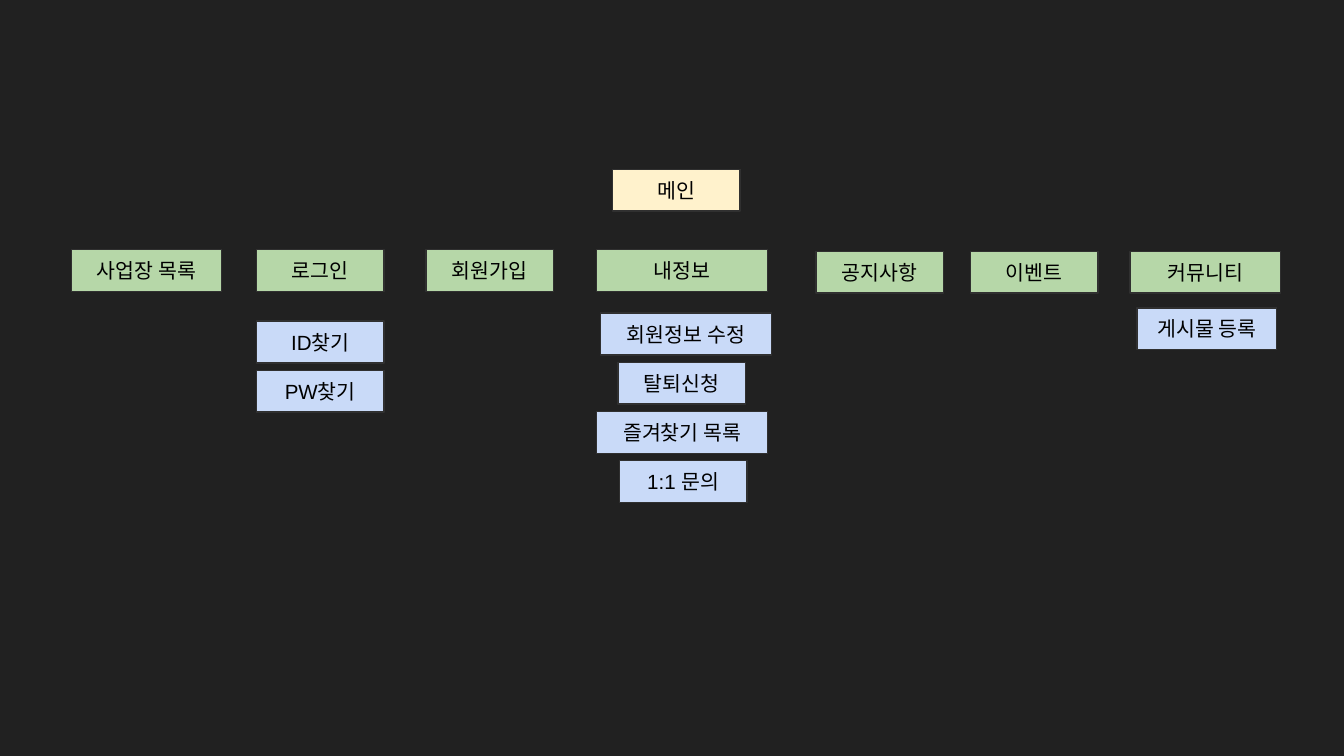
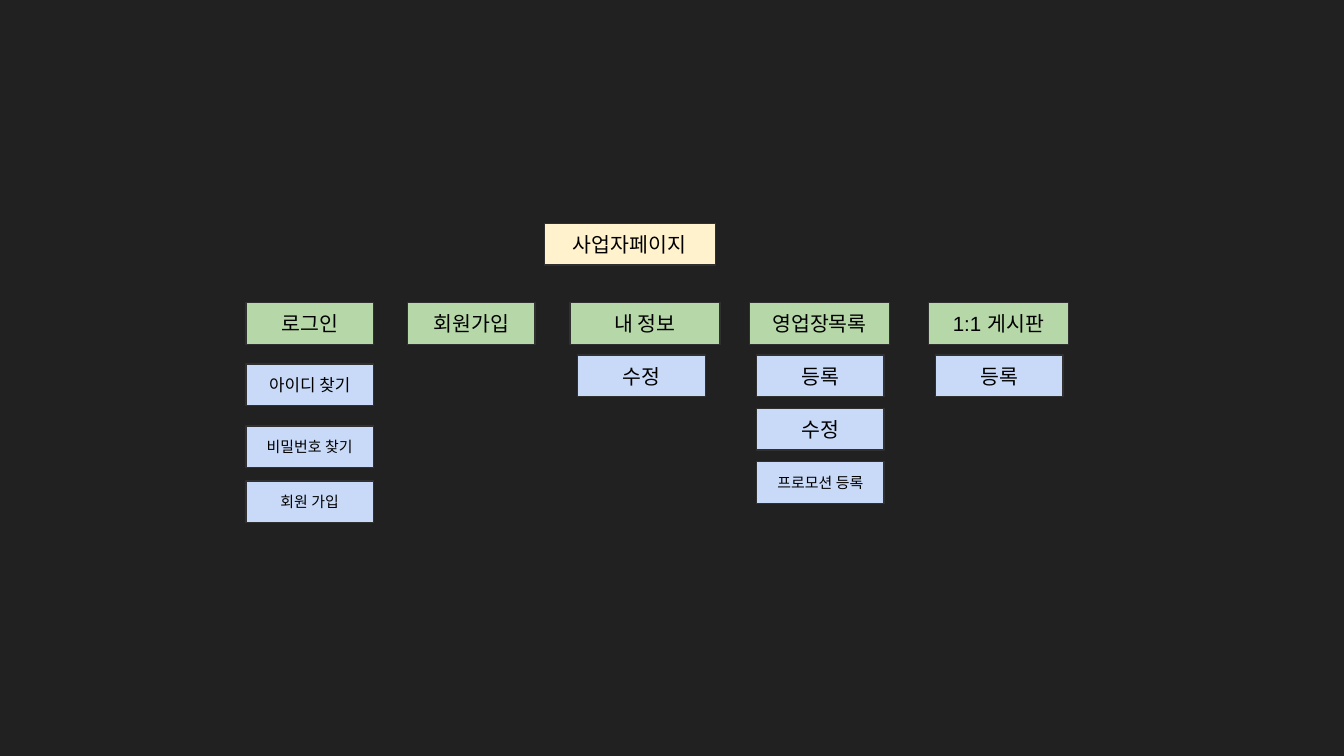
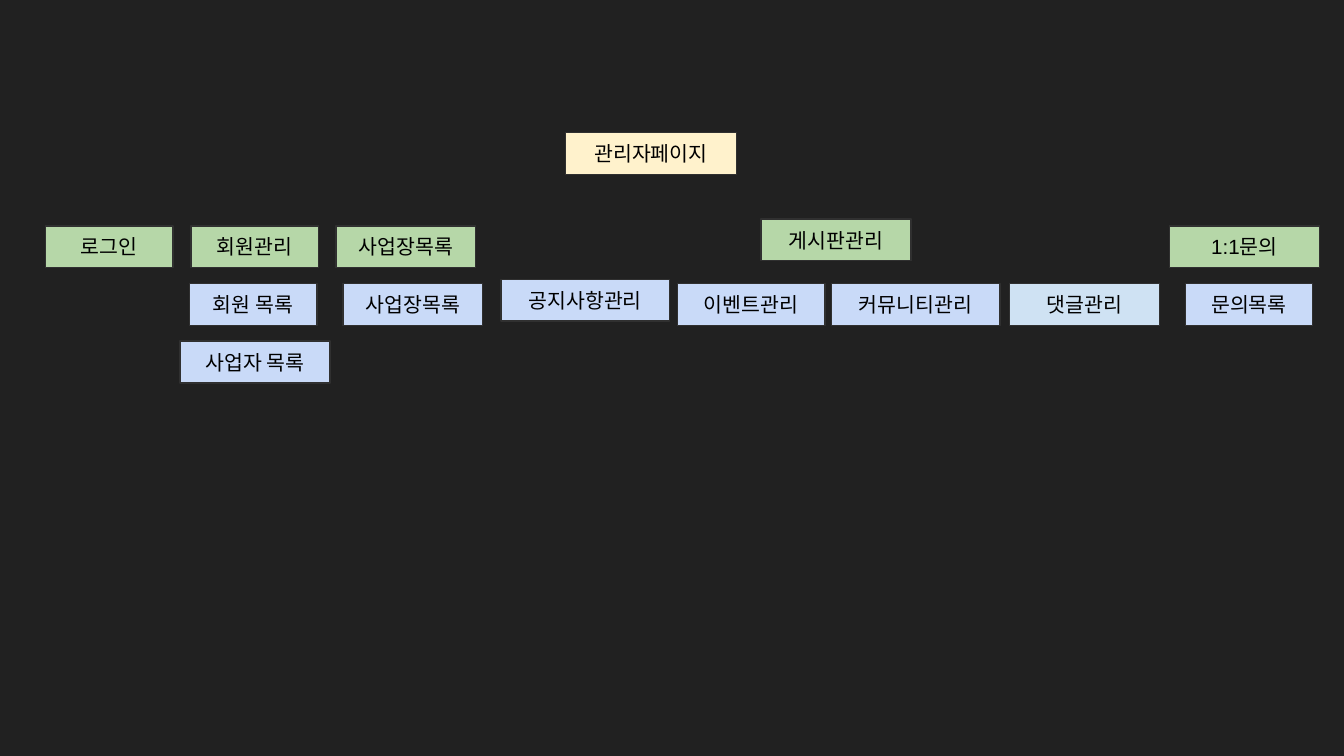
"""Build three site maps: member pages, business pages and administrator pages."""
from pptx import Presentation
from pptx import util as u
from pptx.dml.color import RGBColor
from pptx.enum import shapes, text

BACKGROUND = RGBColor(0x21, 0x21, 0x21)
OUTLINE = RGBColor(0x30, 0x30, 0x30)
BLACK = RGBColor(0x00, 0x00, 0x00)
ROOT = RGBColor(0xFF, 0xF2, 0xCC)
MENU = RGBColor(0xB6, 0xD7, 0xA8)
PAGE = RGBColor(0xC9, 0xDA, 0xF8)
COMMENT_PAGE = RGBColor(0xCF, 0xE2, 0xF3)

BOX_HEIGHT = 0.79
NARROW, MEDIUM, WIDE, FULL = 2.41, 2.64, 2.84, 3.23
FRAME_FORMAT = {
    "margin_left": u.Cm(0.25),
    "margin_top": u.Cm(0.25),
    "margin_right": u.Cm(0.25),
    "margin_bottom": u.Cm(0.25),
    "vertical_anchor": text.MSO_ANCHOR.MIDDLE,
    "word_wrap": True,
}
FONT_FORMAT = {"name": "Arial", "size": u.Pt(11)}
SMALL_LABELS = {"아이디 찾기": 9, "비밀번호 찾기": 8, "회원 가입": 8, "프로모션 등록": 8}

# Each group: fill, top, step down from one box to the next, boxes (label, left, width).
MEMBER_PAGES = [
    (ROOT, 3.2, 0, [("메인", 11.58, NARROW)]),
    (MENU, 4.72, 0, [
        ("사업장 목록", 1.35, WIDE),
        ("로그인", 4.85, NARROW),
        ("회원가입", 8.05, NARROW),
        ("내정보", 11.28, FULL),
    ]),
    (MENU, 4.75, 0, [
        ("공지사항", 15.42, NARROW),
        ("이벤트", 18.34, NARROW),
        ("커뮤니티", 21.36, WIDE),
    ]),
    (PAGE, 6.07, 0.93, [("ID찾기", 4.85, NARROW), ("PW찾기", 4.85, NARROW)]),
    (PAGE, 5.92, 0.93, [
        ("회원정보 수정", 11.35, FULL),
        ("탈퇴신청", 11.68, NARROW),
        ("즐겨찾기 목록", 11.28, FULL),
        ("1:1 문의", 11.71, NARROW),
    ]),
    (PAGE, 5.82, 0, [("게시물 등록", 21.49, MEDIUM)]),
]
BUSINESS_PAGES = [
    (ROOT, 4.22, 0, [("사업자페이지", 10.29, FULL)]),
    (MENU, 5.72, 0, [
        ("로그인", 4.65, NARROW),
        ("회원가입", 7.7, NARROW),
        ("내 정보", 10.77, WIDE),
        ("영업장목록", 14.17, MEDIUM),
        ("1:1 게시판", 17.55, MEDIUM),
    ]),
    (PAGE, 6.88, 1.17, [("아이디 찾기", 4.65, NARROW), ("비밀번호 찾기", 4.65, NARROW)]),
    (PAGE, 9.09, 0, [("회원 가입", 4.65, NARROW)]),
    (PAGE, 6.71, 0, [("수정", 10.92, NARROW), ("등록", 17.68, NARROW)]),
    (PAGE, 6.71, 1.01, [
        ("등록", 14.3, NARROW),
        ("수정", 14.3, NARROW),
        ("프로모션 등록", 14.3, NARROW),
    ]),
]
ADMIN_PAGES = [
    (ROOT, 2.51, 0, [("관리자페이지", 10.69, FULL)]),
    (MENU, 4.27, 0, [
        ("로그인", 0.86, NARROW),
        ("회원관리", 3.61, NARROW),
        ("사업장목록", 6.35, MEDIUM),
        ("1:1문의", 22.1, WIDE),
    ]),
    (MENU, 4.14, 0, [("게시판관리", 14.38, WIDE)]),
    (PAGE, 5.36, 1.09, [("회원 목록", 3.58, NARROW), ("사업자 목록", 3.4, WIDE)]),
    (PAGE, 5.28, 0, [("공지사항관리", 9.47, 3.18)]),
    (PAGE, 5.36, 0, [
        ("사업장목록", 6.48, MEDIUM),
        ("이벤트관리", 12.8, 2.79),
        ("커뮤니티관리", 15.72, 3.18),
        ("문의목록", 22.4, NARROW),
    ]),
    (COMMENT_PAGE, 5.36, 0, [("댓글관리", 19.08, WIDE)]),
]


def apply_format(target, values):
    for name, value in values.items():
        setattr(target, name, value)


def add_box(slide, label, left, top, width, fill):
    shape = slide.shapes.add_shape(
        shapes.MSO_SHAPE.RECTANGLE, u.Cm(left), u.Cm(top), u.Cm(width), u.Cm(BOX_HEIGHT)
    )
    shape.shadow.inherit = False
    shape.fill.solid()
    shape.fill.fore_color.rgb = fill
    shape.line.color.rgb = OUTLINE
    shape.line.width = u.Pt(0.75)
    apply_format(shape.text_frame, FRAME_FORMAT)
    paragraph = shape.text_frame.paragraphs[0]
    paragraph.alignment = text.PP_ALIGN.CENTER
    run = paragraph.add_run()
    run.text = label
    apply_format(run.font, FONT_FORMAT)
    run.font.color.rgb = BLACK
    if label in SMALL_LABELS:
        run.font.size = u.Pt(SMALL_LABELS[label])


presentation = Presentation()
presentation.slide_width = u.Cm(25.4)
presentation.slide_height = u.Cm(14.29)
background = presentation.slide_master.background.fill
background.solid()
background.fore_color.rgb = BACKGROUND

for site_map in (MEMBER_PAGES, BUSINESS_PAGES, ADMIN_PAGES):
    slide = presentation.slides.add_slide(presentation.slide_layouts[6])
    for fill, top, step, boxes in site_map:
        for index, (label, left, width) in enumerate(boxes):
            add_box(slide, label, left, top + index * step, width, fill)

presentation.save("out.pptx")
